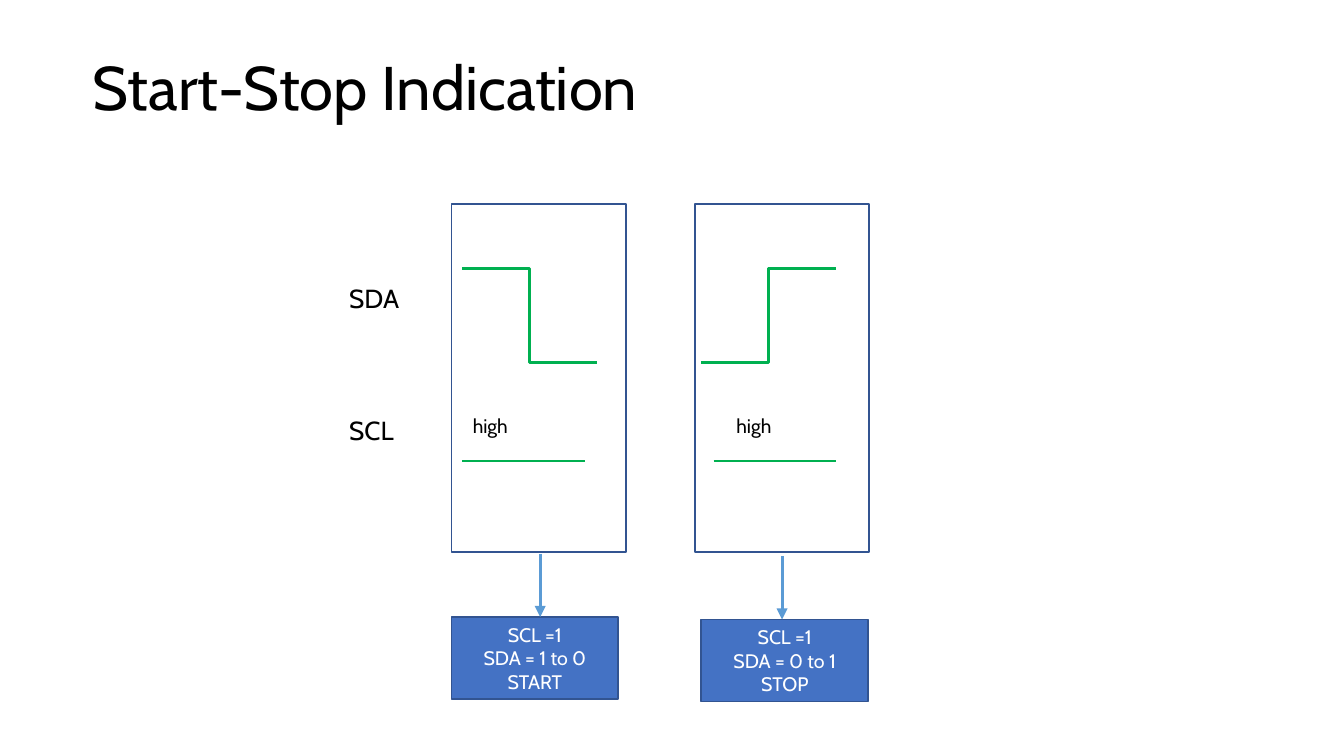
"""Build the slide on start and stop indication on the SDA and SCL lines."""
from dataclasses import dataclass

from lxml import etree
from pptx import Presentation
from pptx.dml.color import RGBColor
from pptx.enum.shapes import MSO_CONNECTOR, MSO_SHAPE
from pptx.enum.text import MSO_ANCHOR, MSO_AUTO_SIZE, PP_ALIGN
from pptx.oxml.ns import qn
from pptx.slide import Slide
from pptx.text.text import TextFrame
from pptx.util import Pt

STRAIGHT, ELBOW = MSO_CONNECTOR.STRAIGHT, MSO_CONNECTOR.ELBOW
RECTANGLE = MSO_SHAPE.RECTANGLE
MIDDLE = MSO_ANCHOR.MIDDLE
LEFT, CENTER = PP_ALIGN.LEFT, PP_ALIGN.CENTER
NO_AUTOFIT, GROW = MSO_AUTO_SIZE.NONE, MSO_AUTO_SIZE.SHAPE_TO_FIT_TEXT

FONT = "Cabin"
COLORS = {
    "text": "000000",
    "light": "FFFFFF",
    "signal": "00B050",
    "arrow": "5B9BD5",
    "fill": "4472C4",
    "border": "325491",
}
FRAME_TOP, FRAME_WIDTH, FRAME_HEIGHT = 109.4, 93.6, 186.5
SDA_HIGH, SDA_LOW, SDA_WIDTH = 144, 194.4, 72
SCL_LEVEL, SCL_WIDTH = 247, 65.5
SCL_LABEL_TOP = 218.2
NOTE_WIDTH, NOTE_HEIGHT = 89.3, 43.9
ARROW_LENGTH = 33.8


@dataclass(frozen=True)
class Condition:
    frame_left: float
    sda_left: float
    sda_start: float
    sda_end: float
    scl_left: float
    high_left: float
    note_left: float
    note_top: float
    arrow_x: float
    note: tuple[str, ...]


CONDITIONS = (
    Condition(241.9, 247.7, SDA_HIGH, SDA_LOW, 247.7, 246.2, 241.9, 330.5, 289.4,
              ("SCL =1", "SDA = 1 to 0", "START")),
    Condition(372.2, 375.8, SDA_LOW, SDA_HIGH, 382.3, 387.4, 375.8, 331.9, 419,
              ("SCL =1", "SDA = 0 to 1", "STOP")),
)


def rgb(name: str) -> RGBColor:
    return RGBColor.from_string(COLORS[name])


def write(frame: TextFrame, lines: tuple[str, ...], size: float,
          color: str = "text", align: PP_ALIGN = LEFT) -> None:
    frame.word_wrap = True
    frame.text = "\n".join(lines)
    for paragraph in frame.paragraphs:
        paragraph.alignment = align
        paragraph.font.name = FONT
        paragraph.font.size = Pt(size)
        paragraph.font.color.rgb = rgb(color)


def add_label(slide: Slide, text: str, left: float, top: float,
              width: float, height: float, size: float) -> None:
    label = slide.shapes.add_textbox(Pt(left), Pt(top), Pt(width), Pt(height))
    write(label.text_frame, (text,), size)
    label.text_frame.auto_size = GROW


def add_box(slide: Slide, left: float, top: float, width: float, height: float,
            note: tuple[str, ...] = ()) -> None:
    box = slide.shapes.add_shape(RECTANGLE, Pt(left), Pt(top), Pt(width), Pt(height))
    box.shadow.inherit = False
    box.line.color.rgb = rgb("border")
    box.line.width = Pt(1)
    if note:
        box.fill.solid()
        box.fill.fore_color.rgb = rgb("fill")
        write(box.text_frame, note, 10.5, "light", CENTER)
        box.text_frame.vertical_anchor = MIDDLE
    else:
        box.fill.background()


def add_line(slide: Slide, start: tuple[float, float], end: tuple[float, float],
             color: str = "signal", kind: MSO_CONNECTOR = STRAIGHT,
             arrow: bool = False) -> None:
    line = slide.shapes.add_connector(kind, *map(Pt, start + end))
    line.line.color.rgb = rgb(color)
    line.line.width = Pt(1.5)
    if arrow:
        outline = line.line._get_or_add_ln()
        etree.SubElement(outline, qn("a:tailEnd"), type="triangle")
    etree.SubElement(line._element.spPr, qn("a:effectLst"))


def add_title(slide: Slide, text: str) -> None:
    title = slide.shapes.title
    title.left, title.top, title.width, title.height = map(Pt, (42.5, 9.4, 620.6, 78.5))
    write(title.text_frame, (text,), 33)
    title.text_frame.auto_size = NO_AUTOFIT
    title.text_frame.vertical_anchor = MIDDLE
    title.text_frame.paragraphs[0].line_spacing = 0.9


def add_condition(slide: Slide, item: Condition) -> None:
    add_box(slide, item.frame_left, FRAME_TOP, FRAME_WIDTH, FRAME_HEIGHT)
    add_line(slide, (item.sda_left, item.sda_start),
             (item.sda_left + SDA_WIDTH, item.sda_end), kind=ELBOW)
    add_line(slide, (item.scl_left, SCL_LEVEL), (item.scl_left + SCL_WIDTH, SCL_LEVEL))
    add_label(slide, "high", item.high_left, SCL_LABEL_TOP, 49.7, 20.2, 10.5)
    add_box(slide, item.note_left, item.note_top, NOTE_WIDTH, NOTE_HEIGHT, item.note)
    add_line(slide, (item.arrow_x, item.note_top - ARROW_LENGTH),
             (item.arrow_x, item.note_top), "arrow", arrow=True)


def main() -> None:
    deck = Presentation()
    deck.slide_width, deck.slide_height = Pt(720), Pt(405)
    slide = deck.slides.add_slide(deck.slide_layouts[5])
    add_title(slide, "Start-Stop Indication")
    for signal, top in (("SDA", 147.6), ("SCL", SCL_LABEL_TOP)):
        add_label(slide, signal, 180, top, 54, 24.5, 14)
    for item in CONDITIONS:
        add_condition(slide, item)
    deck.save("out.pptx")


if __name__ == "__main__":
    main()
